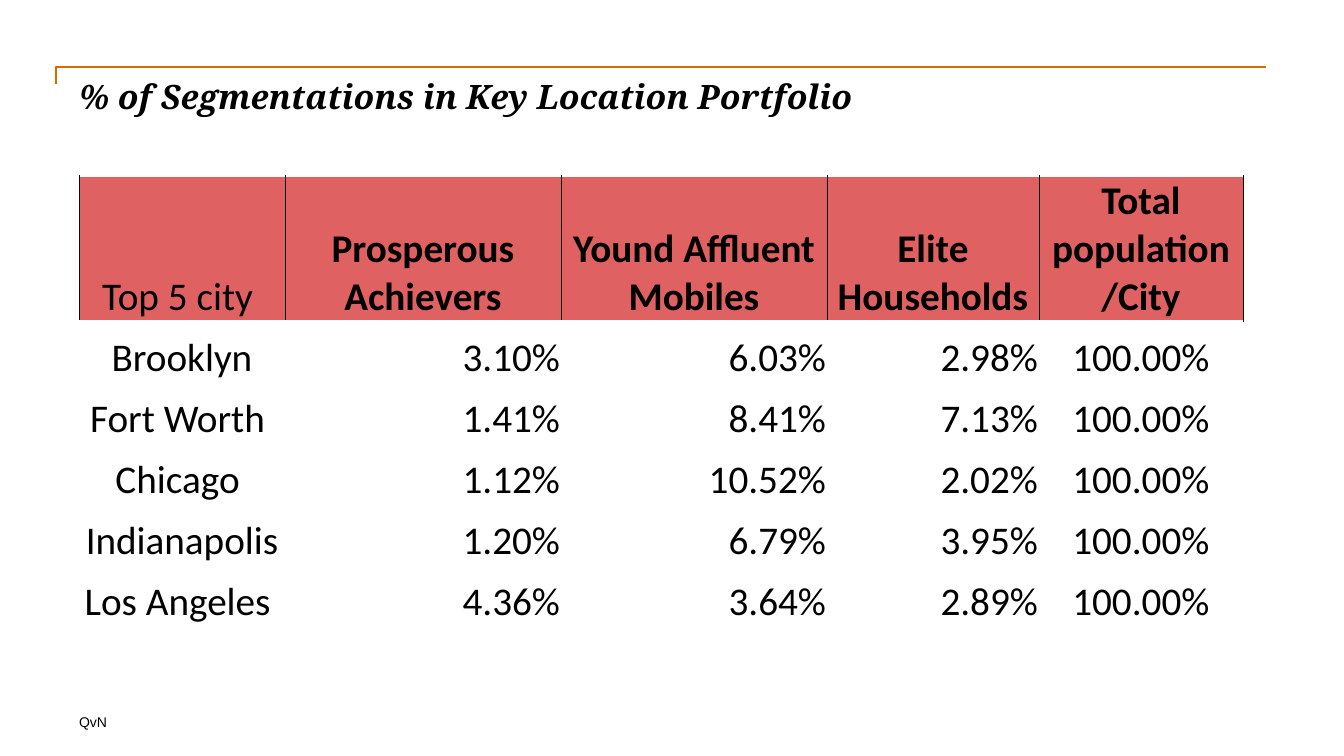
from lxml import etree
from pptx import Presentation
from pptx import util as u
from pptx.dml.color import RGBColor
from pptx.enum import text
from pptx.oxml import ns

EMU_PER_PX = 914400 / 100.8
BLACK, ORANGE, RED = "000000", "DC6900", "E06161"

COLUMN_WIDTHS = [206, 276, 266, 212, 204]
HEADER_HEIGHT, ROW_HEIGHT = 145, 61
HEADINGS = ["Top 5 city ", "Prosperous Achievers", "Yound Affluent Mobiles",
            "Elite Households", "Total population /City"]
CITIES = [
    ["Brooklyn", "3.10%", "6.03%", "2.98%", "100.00%"],
    ["Fort Worth ", "1.41%", "8.41%", "7.13%", "100.00%"],
    ["Chicago ", "1.12%", "10.52%", "2.02%", "100.00%"],
    ["Indianapolis", "1.20%", "6.79%", "3.95%", "100.00%"],
    ["Los Angeles ", "4.36%", "3.64%", "2.89%", "100.00%"],
]


def px(length):
    return u.Emu(round(length * EMU_PER_PX))


def color(hex_string):
    return RGBColor.from_string(hex_string)


def add_run(paragraph, words, font, size, bold=False, italic=False):
    run = paragraph.add_run()
    run.text = words
    run.font.name = font
    run.font.size = u.Pt(size)
    run.font.bold = bold
    run.font.italic = italic
    run.font.color.rgb = color(BLACK)


def add_label(slide, left, top, width, height, words, font, size, **style):
    shape = slide.shapes.add_textbox(px(left), px(top), px(width), px(height))
    frame = shape.text_frame
    frame.word_wrap = True
    frame.margin_left = frame.margin_right = 0
    frame.margin_top = frame.margin_bottom = 0
    add_run(frame.paragraphs[0], words, font, size, **style)


def add_title_rule(slide, left, top, width, height):
    """Draw the short tick and the long line above the title."""
    builder = slide.shapes.build_freeform(left, top + height, scale=EMU_PER_PX)
    builder.add_line_segments([(left, top), (left + width, top)], close=False)
    rule = builder.convert_to_shape()
    rule.shadow.inherit = False
    rule.fill.background()
    rule.line.color.rgb = color(ORANGE)
    rule.line.width = u.Pt(1)


def add_side_borders(cell):
    properties = cell._tc.get_or_add_tcPr()
    for side in ("a:lnL", "a:lnR"):
        line = etree.SubElement(properties, ns.qn(side), w=str(u.Pt(0.5)))
        fill = etree.SubElement(line, ns.qn("a:solidFill"))
        etree.SubElement(fill, ns.qn("a:srgbClr"), val=BLACK)


def fill_cell(cell, words, is_header, alignment, bold):
    cell.margin_left = cell.margin_right = cell.margin_top = px(1)
    cell.margin_bottom = 0
    cell.vertical_anchor = text.MSO_ANCHOR.BOTTOM
    if is_header:
        add_side_borders(cell)
        cell.fill.solid()
        cell.fill.fore_color.rgb = color(RED)
    else:
        cell.fill.background()
    paragraph = cell.text_frame.paragraphs[0]
    paragraph.alignment = alignment
    add_run(paragraph, words, "Calibri", 28, bold=bold)


def add_city_table(slide, left, top):
    rows = [HEADINGS] + CITIES
    heights = [HEADER_HEIGHT] + [ROW_HEIGHT] * len(CITIES)
    table = slide.shapes.add_table(
        len(rows), len(HEADINGS), px(left), px(top),
        px(sum(COLUMN_WIDTHS)), px(sum(heights))).table
    table.first_row = table.horz_banding = False
    for column, width in zip(table.columns, COLUMN_WIDTHS):
        column.width = px(width)
    last = len(HEADINGS) - 1
    for r, (row, height) in enumerate(zip(rows, heights)):
        table.rows[r].height = px(height)
        for c, words in enumerate(row):
            is_header = r == 0
            centered = is_header or c in (0, last)
            alignment = text.PP_ALIGN.CENTER if centered else text.PP_ALIGN.RIGHT
            fill_cell(table.cell(r, c), words, is_header, alignment,
                      bold=is_header and c > 0)


def main():
    presentation = Presentation()
    presentation.slide_width = px(1344)
    presentation.slide_height = px(756)
    slide = presentation.slides.add_slide(presentation.slide_layouts[6])
    add_title_rule(slide, 56, 67, 1210, 17)
    add_label(slide, 79, 714, 381, 17, "QvN", "Arial", 10)
    add_label(slide, 79, 76, 1187, 101, "% of Segmentations in Key Location Portfolio",
              "Noto Serif", 24, bold=True, italic=True)
    add_city_table(slide, 79, 176)
    presentation.save("out.pptx")


if __name__ == "__main__":
    main()
